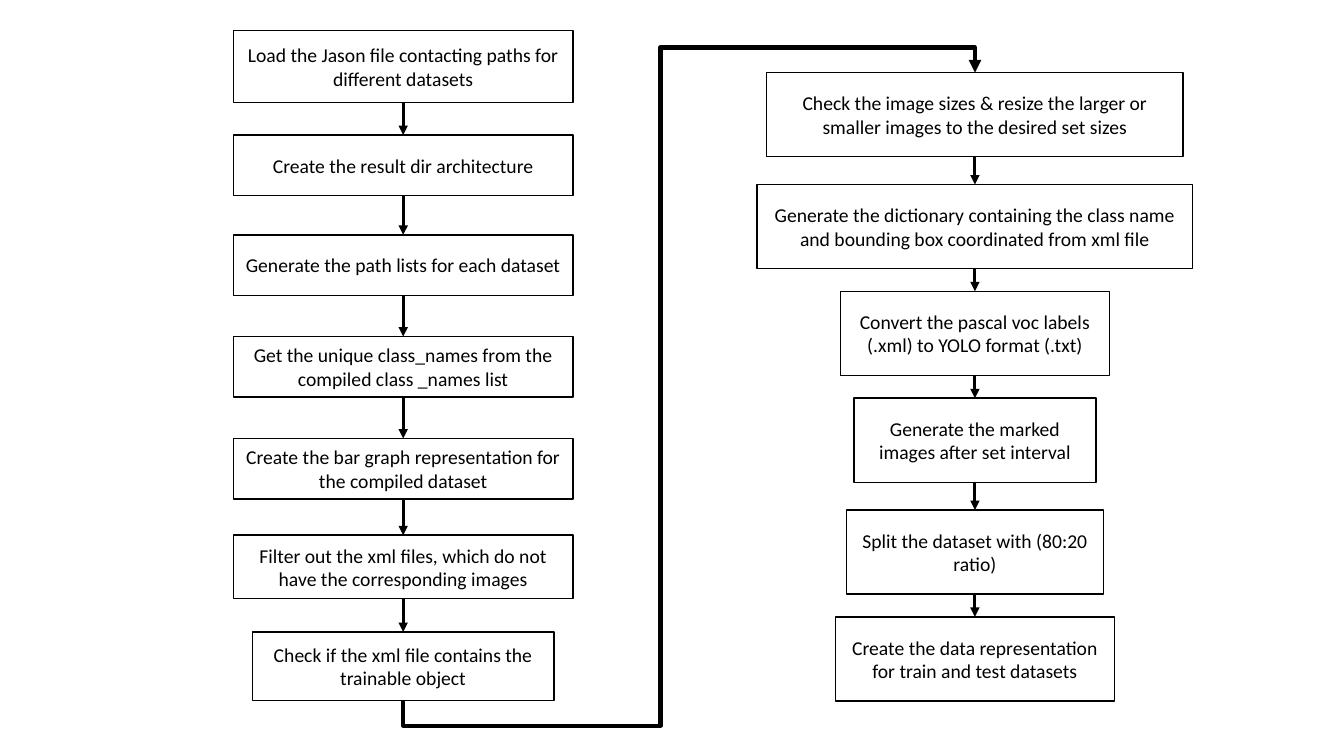
import lxml.etree
import pptx
import pptx.dml.color
import pptx.enum.shapes
import pptx.enum.text
import pptx.oxml.ns
import pptx.util

BLACK = pptx.dml.color.RGBColor(0, 0, 0)
WHITE = pptx.dml.color.RGBColor(255, 255, 255)
TOP, BOTTOM = 0, 2  # connection sites of a rectangle
qn = pptx.oxml.ns.qn


def write(tf, text, font="Calibri", size=14, color=BLACK):
    """Put one centred paragraph into a text frame."""
    tf.word_wrap = True
    tf.vertical_anchor = pptx.enum.text.MSO_ANCHOR.MIDDLE
    p = tf.paragraphs[0]
    p.alignment = pptx.enum.text.PP_ALIGN.CENTER
    r = p.add_run()
    r.text = text
    r.font.name, r.font.size = font, pptx.util.Pt(size)
    r.font.color.rgb = color


class Flowchart:
    """Draws on one slide; lengths are percentages of the slide's size."""

    def __init__(self, prs, ink=BLACK, paper=WHITE):
        self.width, self.height = prs.slide_width, prs.slide_height
        self.ink, self.paper = ink, paper
        self.s = prs.slides.add_slide(prs.slide_layouts[6])

    def x(self, share):
        return round(self.width * share / 100)

    def y(self, share):
        return round(self.height * share / 100)

    def box(self, axis, top, width, height, text):
        sp = self.s.shapes.add_shape(
            pptx.enum.shapes.MSO_SHAPE.RECTANGLE,
            self.x(axis - width / 2), self.y(top), self.x(width), self.y(height))
        sp.shadow.inherit = False
        sp.fill.solid()
        sp.fill.fore_color.rgb = self.paper
        sp.line.color.rgb = self.ink
        sp.line.width = pptx.util.Pt(1)
        write(sp.text_frame, text, color=self.ink)
        return sp

    def connector(self, kind, ends, weight):
        c = self.s.shapes.add_connector(kind, *ends)
        c.line.color.rgb = self.ink
        c.line.width = pptx.util.Pt(weight)
        lxml.etree.SubElement(c.line._get_or_add_ln(), qn("a:tailEnd"), type="triangle")
        lxml.etree.SubElement(c._element.spPr, qn("a:effectLst"))
        return c

    def arrow(self, upper, lower):
        c = self.connector(pptx.enum.shapes.MSO_CONNECTOR.STRAIGHT, (0, 0, 0, 0), 2.25)
        c.begin_connect(upper, BOTTOM)
        c.end_connect(lower, TOP)

    def column(self, axis, steps):
        boxes = [self.box(axis, *step) for step in steps]
        for upper, lower in zip(boxes, boxes[1:]):
            self.arrow(upper, lower)
        return boxes

    def return_arrow(self, last, first, lane, gap):
        """Leave below last, rise along lane and enter first from above."""
        x1, y1 = last.left + last.width // 2, last.top + last.height
        x2, y2 = first.left + first.width // 2, first.top
        span, rise = x2 - x1, y1 - y2
        cx, cy = (x1 + x2) // 2, (y1 + y2) // 2
        # The five-part elbow runs sideways, so it is laid out turned by 90 degrees
        ends = (cx + rise // 2, cy + span // 2, cx - rise // 2, cy - span // 2)
        c = self.connector(pptx.enum.shapes.MSO_CONNECTOR.ELBOW, ends, 3)
        spPr = c._element.spPr
        spPr.find(qn("a:xfrm")).set("rot", str(90 * 60000))
        geom = spPr.find(qn("a:prstGeom"))
        geom.set("prst", "bentConnector5")
        detour = self.y(gap) / rise
        bends = (-detour, (self.x(lane) - x1) / span, 1 + detour)
        for i, bend in enumerate(bends, 1):
            lxml.etree.SubElement(geom.find(qn("a:avLst")), qn("a:gd"),
                                  name=f"adj{i}", fmla=f"val {round(bend * 100000)}")


# Steps: top, width, height, text
WIDE, TALL = 25.28, 11.13
PREPARE = [
    (4, WIDE, 9.6, "Load the Jason file contacting paths for different datasets"),
    (17.87, WIDE, 8, "Create the result dir architecture"),
    (31.07, WIDE, 8, "Generate the path lists for each dataset"),
    (44.53, WIDE, 8, "Get the unique class_names from the compiled class _names list"),
    (58, WIDE, 8, "Create the bar graph representation for the compiled dataset"),
    (70.8, WIDE, 8.4, "Filter out the xml files, which do not have the corresponding images"),
    (83.6, 22.43, 9.07, "Check if the xml file contains the trainable object"),
]
CONVERT = [
    (9.6, 30.98, TALL,
     "Check the image sizes & resize the larger or smaller images to the desired set sizes"),
    (24.4, 32.41, TALL,
     "Generate the dictionary containing the class name and bounding box coordinated from xml file"),
    (38.53, 20.03, TALL, "Convert the pascal voc labels (.xml) to YOLO format (.txt)"),
    (52.67, 18, TALL, "Generate the marked images after set interval"),
    (67.47, 19.13, TALL, "Split the dataset with (80:20 ratio)"),
    (81.6, 20.78, TALL, "Create the data representation for train and test datasets"),
]


def main():
    prs = pptx.Presentation()
    prs.slide_width, prs.slide_height = pptx.util.Inches(13.33), pptx.util.Inches(7.5)
    chart = Flowchart(prs)

    # Two columns of steps
    prepare = chart.column(30, PREPARE)
    convert = chart.column(72.54, CONVERT)

    # Link from the foot of the first column to the head of the second
    chart.return_arrow(prepare[-1], convert[0], lane=49.14, gap=3.33)

    prs.save("out.pptx")


if __name__ == "__main__":
    main()
